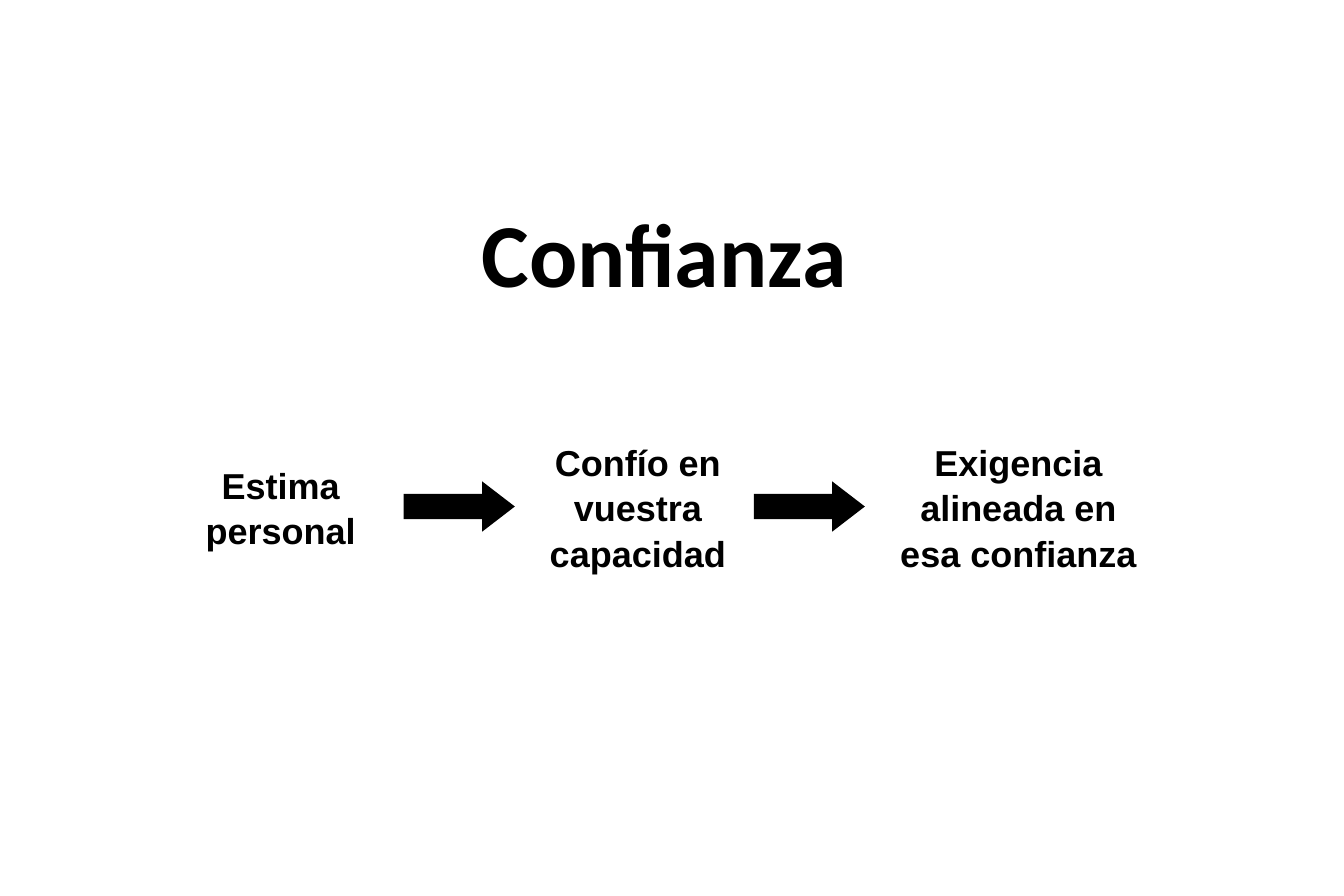
from pptx import Presentation
from pptx.dml.color import RGBColor
from pptx.enum.shapes import MSO_SHAPE
from pptx.enum.text import MSO_ANCHOR, MSO_AUTO_SIZE, PP_ALIGN
from pptx.util import Inches, Pt

RIGHT_ARROW = MSO_SHAPE.RIGHT_ARROW
MIDDLE = MSO_ANCHOR.MIDDLE
NO_AUTOFIT = MSO_AUTO_SIZE.NONE
LEFT, CENTER = PP_ALIGN.LEFT, PP_ALIGN.CENTER

COLORS = {"ink": "000000", "background": "FFFFFF"}
STEPS = [
    ("Estima personal", 0, 1.86, 0.83),
    ("Confío en vuestra capacidad", 2.99, 1.86, 1.2),
    ("Exigencia alineada en esa confianza", 5.99, 2.23, 1.2),
]
ARROW_LEFTS = [1.96, 4.89]
ARROW_WIDTH, ARROW_HEIGHT = 0.93, 0.42


def color(name):
    """Return the named colour."""
    return RGBColor.from_string(COLORS[name])


def format_text(shape, text, font_name, size, alignment, wrap):
    """Set bold text in a shape, centred vertically."""
    text_frame = shape.text_frame
    text_frame.text = text
    text_frame.word_wrap = wrap
    text_frame.auto_size = NO_AUTOFIT
    text_frame.vertical_anchor = MIDDLE
    paragraph = text_frame.paragraphs[0]
    paragraph.alignment = alignment
    font = paragraph.runs[0].font
    font.name = font_name
    font.size = Pt(size)
    font.bold = True
    font.color.rgb = color("ink")
    return paragraph


def add_title(slide, left, top, width, height):
    """Place the title in its box."""
    title = slide.shapes.title
    title.left, title.top = Inches(left), Inches(top)
    title.width, title.height = Inches(width), Inches(height)
    format_text(title, "Confianza", "Calibri", 54.2, LEFT, False)


def add_step_chain(slide, left, top, height):
    """Place the steps and the arrows between them on one middle line."""
    middle = top + height / 2
    for text, offset, step_width, step_height in STEPS:
        box = slide.shapes.add_textbox(
            Inches(left + offset), Inches(middle - step_height / 2),
            Inches(step_width), Inches(step_height))
        paragraph = format_text(box, text, "Arial", 21.7, CENTER, True)
        paragraph.line_spacing = 1.05
    for offset in ARROW_LEFTS:
        arrow = slide.shapes.add_shape(
            RIGHT_ARROW,
            Inches(left + offset), Inches(middle - ARROW_HEIGHT / 2),
            Inches(ARROW_WIDTH), Inches(ARROW_HEIGHT))
        arrow.adjustments[0] = 0.5
        arrow.adjustments[1] = 0.65
        arrow.shadow.inherit = False
        arrow.fill.solid()
        arrow.fill.fore_color.rgb = color("ink")
        arrow.line.fill.background()


def main():
    """Build and save the slide."""
    presentation = Presentation()
    presentation.slide_width = Inches(11.25)
    presentation.slide_height = Inches(7.5)
    slide = presentation.slides.add_slide(presentation.slide_layouts[5])
    slide.background.fill.solid()
    slide.background.fill.fore_color.rgb = color("background")
    add_title(slide, 3.93, 1.6, 3.29, 1.01)
    add_step_chain(slide, 1.42, 3.64, 1.2)
    presentation.save("out.pptx")


if __name__ == "__main__":
    main()
